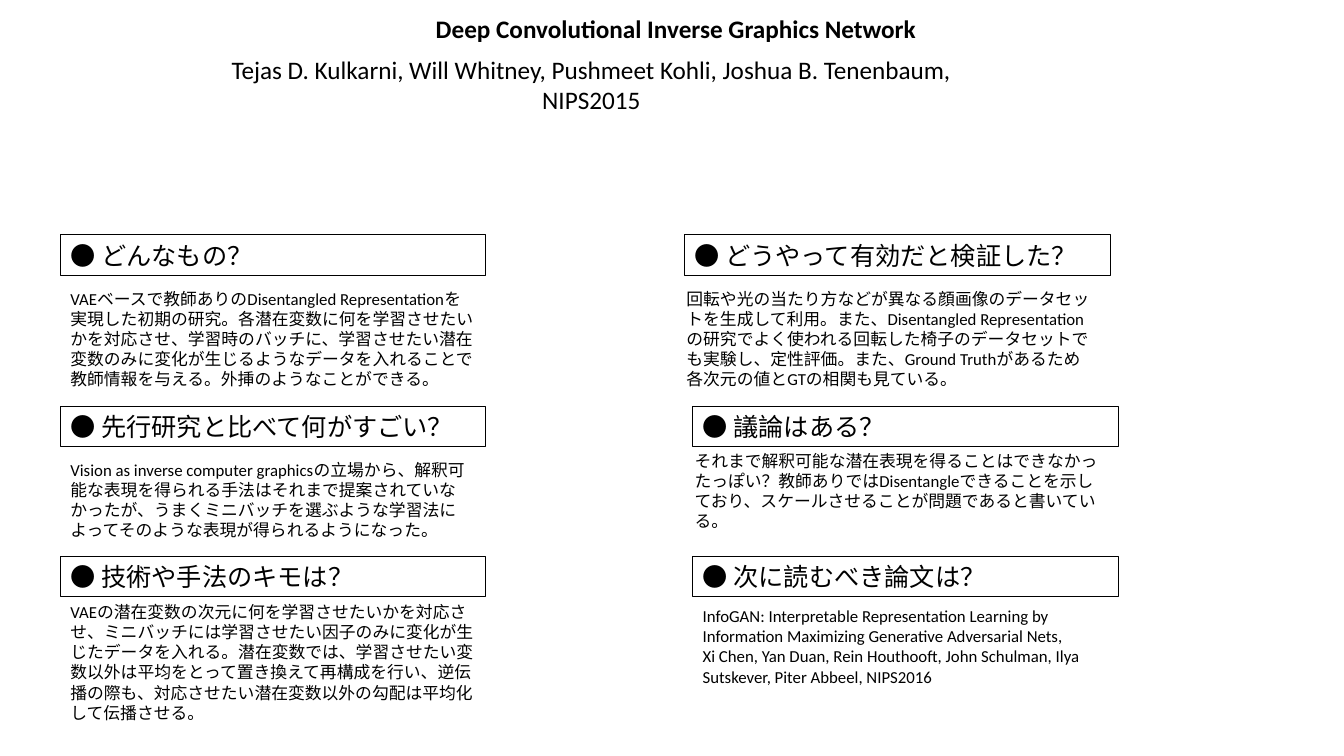
from dataclasses import dataclass

from pptx import Presentation
from pptx import util as u
from pptx.dml.color import RGBColor
from pptx.enum import shapes, text


@dataclass(frozen=True)
class Theme:
    """Colours, font and type sizes."""
    ink: RGBColor = RGBColor(0, 0, 0)
    font: str = "Calibri"
    head: u.Pt = u.Pt(18)
    body: u.Pt = u.Pt(12)
    rule: u.Pt = u.Pt(0.75)


@dataclass(frozen=True)
class Box:
    """A frame in percent of the slide's width and height."""
    left: float
    top: float
    width: float
    height: float


@dataclass(frozen=True)
class Topic:
    """A boxed question and the answer below it."""
    left: float
    row: int
    ask: str
    reply: str
    lines: int
    top: float
    shift: float = 0


THEME = Theme()
ROWS = (31.07, 53.73, 73.6)
LEFT, RIGHT, STEP = 4.5, 51.54, 0.6
WIDTH, HEAD = 31.66, 5.33
PAD, LINE = 1.4, 2.68

TITLE = Box(2.1, 1.07, 96.4, HEAD)
NAMES = Box(11.63, 6.53, 64.74, 9.47)

TOPICS = (
    Topic(LEFT, 0, "どんなもの？",
          "VAEベースで教師ありのDisentangled Representationを実現した初期の研究。"
          "各潜在変数に何を学習させたいかを対応させ、学習時のバッチに、"
          "学習させたい潜在変数のみに変化が生じるようなデータを入れることで"
          "教師情報を与える。外挿のようなことができる。", 5, 37.47),
    Topic(LEFT, 1, "先行研究と比べて何がすごい？",
          "Vision as inverse computer graphicsの立場から、"
          "解釈可能な表現を得られる手法はそれまで提案されていなかったが、"
          "うまくミニバッチを選ぶような学習法によって"
          "そのような表現が得られるようになった。", 4, 60.13),
    Topic(LEFT, 2, "技術や手法のキモは？",
          "VAEの潜在変数の次元に何を学習させたいかを対応させ、"
          "ミニバッチには学習させたい因子のみに変化が生じたデータを入れる。"
          "潜在変数では、学習させたい変数以外は平均をとって置き換えて再構成を行い、"
          "逆伝播の際も、対応させたい潜在変数以外の勾配は平均化して伝播させる。",
          6, 78.93),
    Topic(RIGHT - STEP, 0, "どうやって有効だと検証した？",
          "回転や光の当たり方などが異なる顔画像のデータセットを生成して利用。"
          "また、Disentangled Representationの研究でよく使われる"
          "回転した椅子のデータセットでも実験し、定性評価。"
          "また、Ground Truthがあるため各次元の値とGTの相関も見ている。",
          5, 37.47, -STEP),
    Topic(RIGHT, 1, "議論はある？",
          "それまで解釈可能な潜在表現を得ることはできなかったっぽい？"
          "教師ありではDisentangleできることを示しており、"
          "スケールさせることが問題であると書いている。", 4, 58.93, -STEP),
    Topic(RIGHT, 2, "次に読むべき論文は？",
          "InfoGAN: Interpretable Representation Learning by Information "
          "Maximizing Generative Adversarial Nets,\n"
          "Xi Chen, Yan Duan, Rein Houthooft, John Schulman, Ilya Sutskever, "
          "Piter Abbeel, NIPS2016", 4, 79.47),
)

deck = Presentation()
deck.slide_width, deck.slide_height = u.Inches(13.33), u.Inches(7.5)
slide = deck.slides.add_slide(deck.slide_layouts[0])


def frame(box: Box) -> tuple[int, int, int, int]:
    """Turn percent shares into slide lengths."""
    wide, high = deck.slide_width / 100, deck.slide_height / 100
    return (int(box.left * wide), int(box.top * high),
            int(box.width * wide), int(box.height * high))


def write(shape, words: str, size: u.Pt, bold: bool = False,
          align=text.PP_ALIGN.LEFT) -> None:
    """Fill a shape with evenly formatted paragraphs."""
    area = shape.text_frame
    area.text = words
    area.word_wrap = True
    area.auto_size = text.MSO_AUTO_SIZE.SHAPE_TO_FIT_TEXT
    area.vertical_anchor = text.MSO_ANCHOR.TOP
    for para in area.paragraphs:
        para.alignment = align
        para.space_before = u.Pt(0)
        font = para.font
        font.name, font.size, font.bold = THEME.font, size, bold
        font.color.rgb = THEME.ink


def place(holder, box: Box, words: str, bold: bool) -> None:
    """Move a placeholder and set its centred text."""
    holder.left, holder.top, holder.width, holder.height = frame(box)
    write(holder, words, THEME.head, bold, text.PP_ALIGN.CENTER)


def draw(topic: Topic) -> None:
    """Draw a topic's outlined heading and its text."""
    box = Box(topic.left, ROWS[topic.row], WIDTH, HEAD)
    head = slide.shapes.add_shape(shapes.MSO_SHAPE.RECTANGLE, *frame(box))
    head.shadow.inherit = False
    head.fill.background()
    head.line.color.rgb = THEME.ink
    head.line.width = THEME.rule
    write(head, f"● {topic.ask}", THEME.head)

    box = Box(topic.left + topic.shift, topic.top, WIDTH,
              PAD + LINE * topic.lines)
    write(slide.shapes.add_textbox(*frame(box)), topic.reply, THEME.body)


place(slide.shapes.title, TITLE,
      "Deep Convolutional Inverse Graphics Network", True)
place(slide.placeholders[1], NAMES,
      "Tejas D. Kulkarni, Will Whitney, Pushmeet Kohli, "
      "Joshua B. Tenenbaum,\nNIPS2015", False)
for topic in TOPICS:
    draw(topic)

deck.save("out.pptx")
